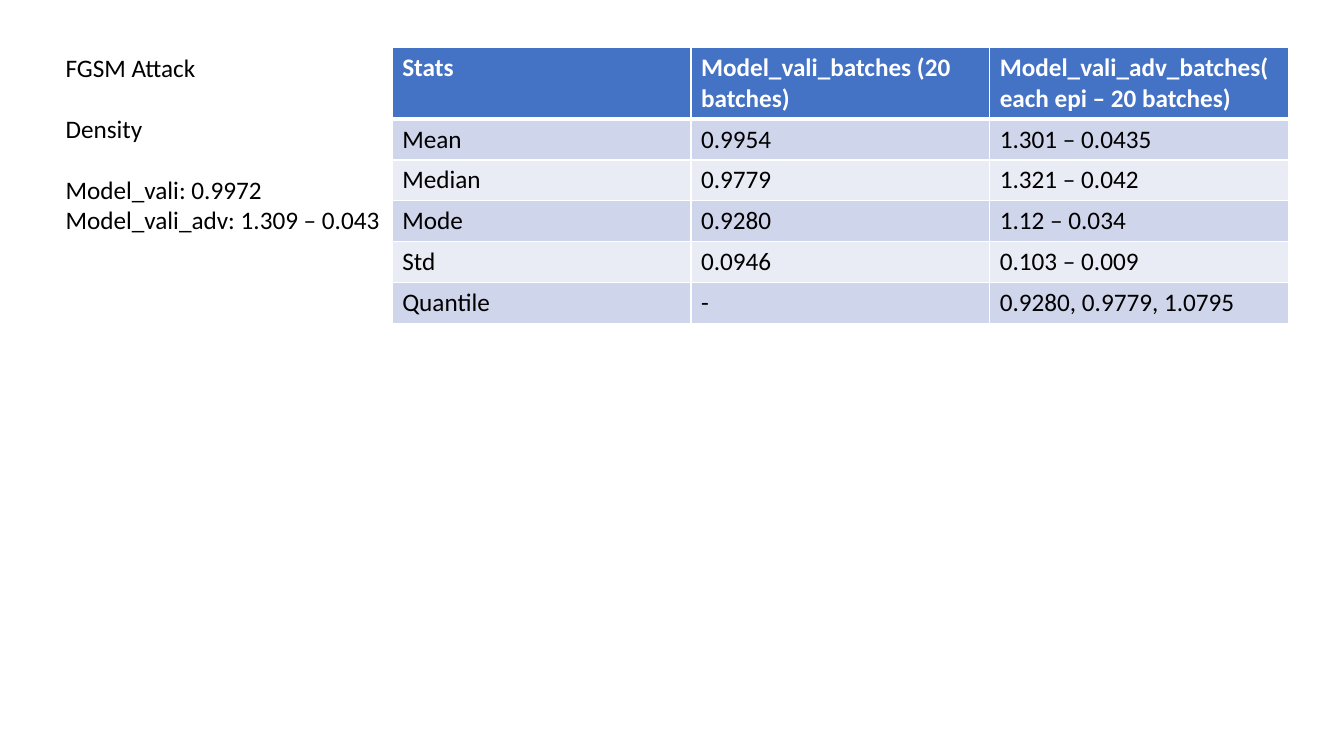
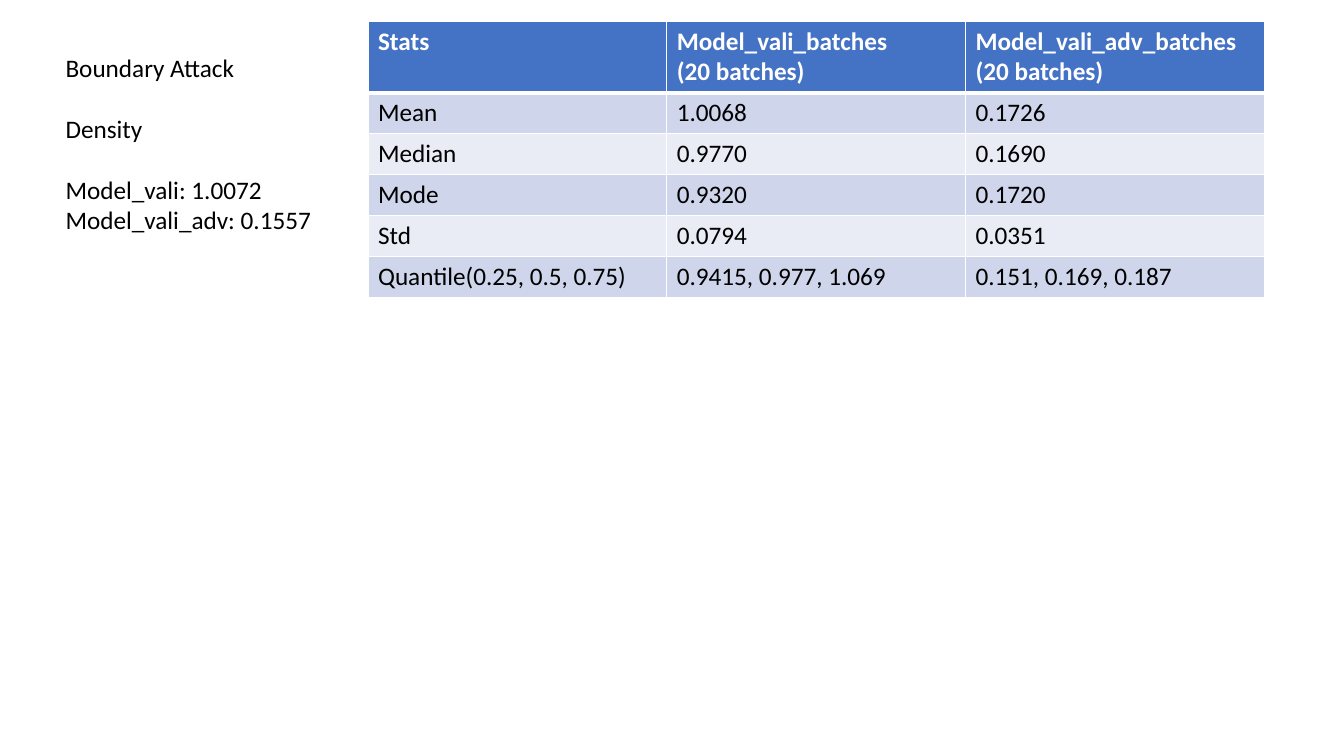
import pptx
import pptx.util
import pptx.dml.color
import pptx.enum.text
import pptx.oxml
import pptx.oxml.ns

PX = 9144
FONT = "Calibri"
BLACK = pptx.dml.color.RGBColor(0x00, 0x00, 0x00)
WHITE = pptx.dml.color.RGBColor(0xFF, 0xFF, 0xFF)
BLUE = pptx.dml.color.RGBColor(0x44, 0x72, 0xC4)
BAND_DARK = pptx.dml.color.RGBColor(0xCF, 0xD5, 0xEA)
BAND_LIGHT = pptx.dml.color.RGBColor(0xE9, 0xEB, 0xF5)

SUMMARY_BOX = (55, 47, 334, 192)
LINE_H = 30
INSET = 5
HEADER_H = 70

SLIDES = [
    {
        "title": "FGSM Attack",
        "density": ["Density", "Model_vali: 0.9972", "Model_vali_adv: 1.309 – 0.043"],
        "box": (389, 47, 889, 273),
        "rows": [
            ("Stats", "Model_vali_batches (20 batches)",
             "Model_vali_adv_batches(each epi – 20 batches)"),
            ("Mean", "0.9954", "1.301 – 0.0435"),
            ("Median", "0.9779", "1.321 – 0.042"),
            ("Mode", "0.9280", "1.12 – 0.034"),
            ("Std", "0.0946", "0.103 – 0.009"),
            ("Quantile", "-", "0.9280, 0.9779, 1.0795"),
        ],
    },
    {
        "title": "Boundary Attack",
        "density": ["Density", "Model_vali: 1.0072", "Model_vali_adv: 0.1557"],
        "box": (365, 21, 889, 273),
        "rows": [
            ("Stats", "Model_vali_batches\n(20 batches)",
             "Model_vali_adv_batches\n(20 batches)"),
            ("Mean", "1.0068", "0.1726"),
            ("Median", "0.9770", "0.1690"),
            ("Mode", "0.9320", "0.1720"),
            ("Std", "0.0794", "0.0351"),
            ("Quantile(0.25, 0.5, 0.75)", "0.9415, 0.977, 1.069", "0.151, 0.169, 0.187"),
        ],
    },
]


def emu(*px):
    """Convert px lengths to EMU."""
    return [round(v * PX) for v in px]


def style_text(tf, color=BLACK, bold=False):
    """Give every run the shared font."""
    for p in tf.paragraphs:
        for r in p.runs:
            r.font.name = FONT
            r.font.size = pptx.util.Pt(18)
            r.font.bold = bold
            r.font.color.rgb = color


def fill_placeholder(sp, box, text):
    """Place a placeholder as plain, left-aligned, unbulleted text."""
    sp.left, sp.top, sp.width, sp.height = emu(*box)
    tf = sp.text_frame
    tf.text = text
    tf.word_wrap = False
    tf.auto_size = pptx.enum.text.MSO_AUTO_SIZE.NONE
    tf.vertical_anchor = pptx.enum.text.MSO_ANCHOR.TOP
    for p in tf.paragraphs:
        p.alignment = pptx.enum.text.PP_ALIGN.LEFT
        p.space_before = pptx.util.Pt(0)
        pPr = p._p.get_or_add_pPr()
        pPr.set("marL", "0")
        pPr.set("indent", "0")
        pPr.append(pptx.oxml.parse_xml(
            f'<a:buNone {pptx.oxml.ns.nsdecls("a")}/>'))
    style_text(tf)
    return tf


def add_summary(s, box, title, density):
    """Write the attack name and its density values down the box."""
    x, y, w, h = box
    fill_placeholder(s.shapes.title, (x, y, w, LINE_H + 2 * INSET), title)
    drop = 2 * LINE_H
    tf = fill_placeholder(s.placeholders[1], (x, y + drop, w, h - drop), "\n".join(density))
    tf.paragraphs[1].space_before = pptx.util.Pt(22)


def set_borders(cell, bottom):
    """Draw white cell borders, with the bottom width in points."""
    tcPr = cell._tc.get_or_add_tcPr()
    for i, (side, pt) in enumerate([("L", 1), ("R", 1), ("T", 1), ("B", bottom)]):
        tcPr.insert(i, pptx.oxml.parse_xml(
            f'<a:ln{side} {pptx.oxml.ns.nsdecls("a")} w="{pt * 12700}">'
            f'<a:solidFill><a:srgbClr val="{WHITE}"/></a:solidFill></a:ln{side}>'))


def add_stats_table(s, box, rows):
    """Fill the box with a banded table under a blue header."""
    tbl = s.shapes.add_table(len(rows), len(rows[0]), *emu(*box)).table
    row_h = (box[3] - HEADER_H) / (len(rows) - 1)
    for i, row in enumerate(rows):
        head = i == 0
        tbl.rows[i].height = emu(HEADER_H if head else row_h)[0]
        band = BAND_DARK if i % 2 else BAND_LIGHT
        for j, text in enumerate(row):
            cell = tbl.cell(i, j)
            cell.text_frame.text = text
            style_text(cell.text_frame, WHITE if head else BLACK, head)
            cell.fill.solid()
            cell.fill.fore_color.rgb = BLUE if head else band
            set_borders(cell, 3 if head else 1)


def main():
    """Build and save the presentation."""
    prs = pptx.Presentation()
    prs.slide_width, prs.slide_height = emu(1333, 750)
    for data in SLIDES:
        s = prs.slides.add_slide(prs.slide_layouts[1])
        add_summary(s, SUMMARY_BOX, data["title"], data["density"])
        add_stats_table(s, data["box"], data["rows"])
    prs.save("out.pptx")


if __name__ == "__main__":
    main()
